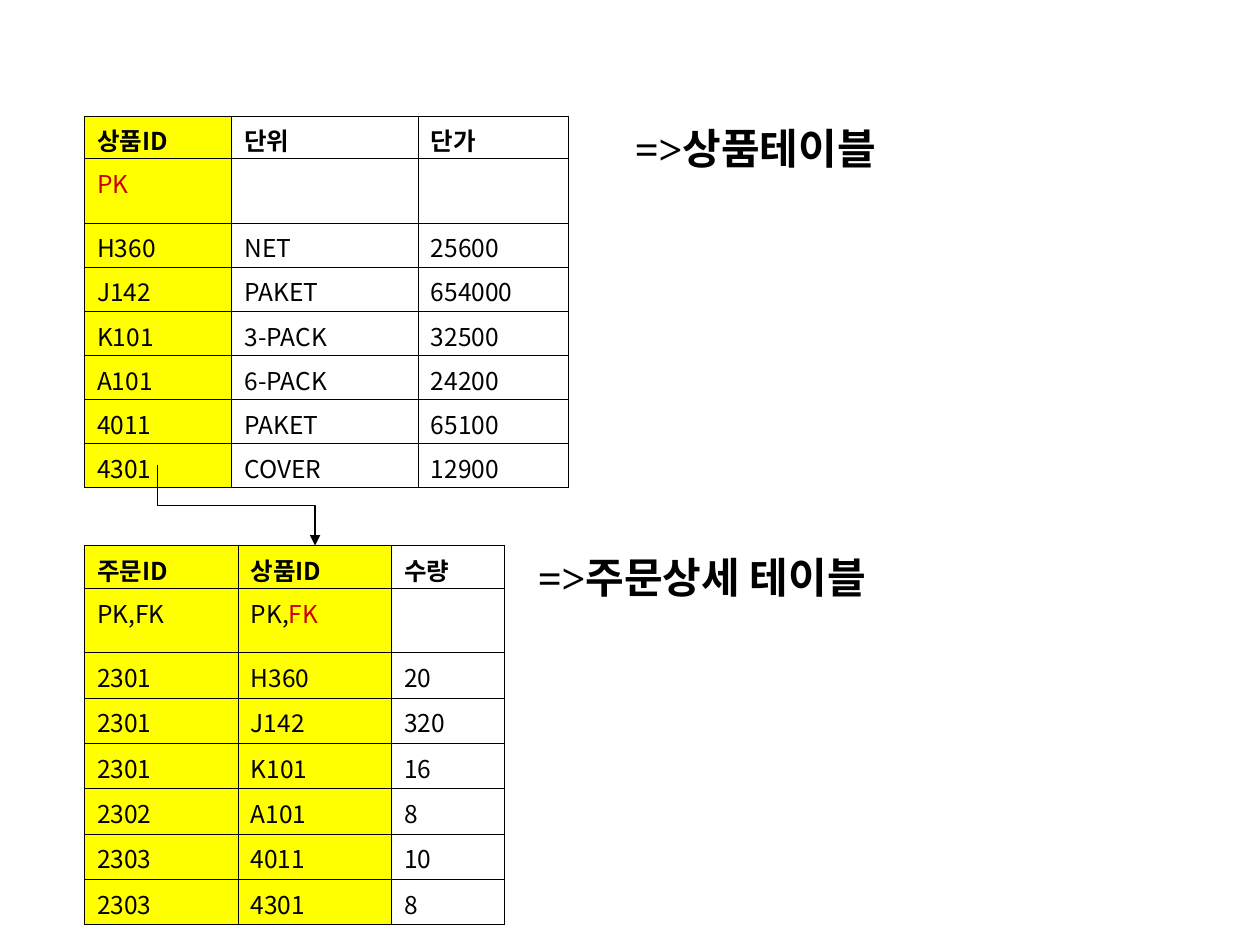
from lxml import etree
from pptx import Presentation
from pptx.dml.color import RGBColor
from pptx.enum.shapes import MSO_CONNECTOR
from pptx.enum.text import MSO_ANCHOR, PP_ALIGN
from pptx.oxml.ns import qn
from pptx.util import Inches, Pt

ELBOW = MSO_CONNECTOR.ELBOW
MIDDLE = MSO_ANCHOR.MIDDLE
LEFT, CENTER = PP_ALIGN.LEFT, PP_ALIGN.CENTER
BLACK = RGBColor(0x00, 0x00, 0x00)
RED = RGBColor(0xCC, 0x00, 0x00)
YELLOW = RGBColor(0xFF, 0xFF, 0x00)
TABLE_FONT = "Noto Sans CJK KR"
LABEL_FONT = "Times New Roman"
BORDER_WIDTH = Pt(0.45)
HEADER_HEIGHT, KEY_HEIGHT = 0.34, 0.51

# Each key cell is a list of (text, colour) runs.
PRODUCTS = {
    "left": 0.67, "top": 0.92, "columns": [1.17, 1.48, 1.19], "row": 0.35,
    "key_columns": 1,
    "header": ["상품ID", "단위", "단가"],
    "keys": [[("PK", RED)], [], []],
    "data": [
        ["H360", "NET", "25600"],
        ["J142", "PAKET", "654000"],
        ["K101", "3-PACK", "32500"],
        ["A101", "6-PACK", "24200"],
        ["4011", "PAKET", "65100"],
        ["4301", "COVER", "12900"],
    ],
}
ORDER_DETAILS = {
    "left": 0.67, "top": 4.33, "columns": [1.22, 1.22, 0.89], "row": 0.36,
    "key_columns": 2,
    "header": ["주문ID", "상품ID", "수량"],
    "keys": [[("PK,FK", BLACK)], [("PK,", BLACK), ("FK", RED)], []],
    "data": [
        ["2301", "H360", "20"],
        ["2301", "J142", "320"],
        ["2301", "K101", "16"],
        ["2302", "A101", "8"],
        ["2303", "4011", "10"],
        ["2303", "4301", "8"],
    ],
}
# text, left, top, width, alignment
LABELS = [
    ("=>상품테이블", 4.58, 0.92, 2.83, CENTER),
    ("=>주문상세 테이블", 4.17, 4.33, 4, LEFT),
]
LABEL_HEIGHT = 0.5
ARROW_START, ARROW_END = (1.25, 3.69), (2.5, 4.33)


def style_font(font, name, size, bold, color):
    font.name = name
    font.size = Pt(size)
    font.bold = bold
    font.color.rgb = color


def add_border(cell):
    properties = cell._tc.get_or_add_tcPr()
    for position, side in enumerate(("a:lnL", "a:lnR", "a:lnT", "a:lnB")):
        line = etree.Element(qn(side), w=str(BORDER_WIDTH))
        fill = etree.SubElement(line, qn("a:solidFill"))
        etree.SubElement(fill, qn("a:srgbClr"), val=str(BLACK))
        properties.insert(position, line)


def fill_cell(cell, runs, bold, is_key):
    if is_key:
        cell.fill.solid()
        cell.fill.fore_color.rgb = YELLOW
    else:
        cell.fill.background()
    add_border(cell)
    cell.margin_bottom = 0  # lets a line of text fit the low rows
    para = cell.text_frame.paragraphs[0]
    para.font.size = Pt(14)
    for text, color in runs:
        span = para.add_run()
        span.text = text
        style_font(span.font, TABLE_FONT, 14, bold, color)


def add_data_table(page, content):
    plain_rows = [[[(text, BLACK)] for text in row]
                  for row in [content["header"]] + content["data"]]
    rows = plain_rows[:1] + [content["keys"]] + plain_rows[1:]
    heights = [HEADER_HEIGHT, KEY_HEIGHT] + [content["row"]] * len(content["data"])
    widths = content["columns"]
    table = page.shapes.add_table(
        len(rows), len(widths), Inches(content["left"]), Inches(content["top"]),
        Inches(sum(widths)), Inches(sum(heights))).table
    table.first_row = table.horz_banding = False
    for column, width in zip(table.columns, widths):
        column.width = Inches(width)
    for row_index, (row, height) in enumerate(zip(rows, heights)):
        table.rows[row_index].height = Inches(height)
        for column_index, runs in enumerate(row):
            fill_cell(table.cell(row_index, column_index), runs,
                      row_index == 0, column_index < content["key_columns"])


def add_label(page, text, left, top, width, alignment):
    box = page.shapes.add_textbox(
        Inches(left), Inches(top), Inches(width), Inches(LABEL_HEIGHT))
    box.text_frame.word_wrap = True
    box.text_frame.vertical_anchor = MIDDLE
    para = box.text_frame.paragraphs[0]
    para.alignment = alignment
    span = para.add_run()
    span.text = text
    style_font(span.font, LABEL_FONT, 24, True, BLACK)


def add_key_arrow(page, start, end):
    """Draw an elbow that leaves downwards, as a flipped quarter turn."""
    center_x, center_y = ((a + b) / 2 for a, b in zip(start, end))
    half_width = (end[1] - start[1]) / 2
    half_height = (end[0] - start[0]) / 2
    arrow = page.shapes.add_connector(
        ELBOW, Inches(center_x - half_width), Inches(center_y - half_height),
        Inches(center_x + half_width), Inches(center_y + half_height))
    arrow.line.color.rgb = BLACK
    arrow.line.width = Pt(0.75)
    properties = arrow._element.spPr
    frame = properties.find(qn("a:xfrm"))
    frame.set("rot", str(270 * 60000))
    frame.set("flipH", "1")
    etree.SubElement(properties.find(qn("a:ln")), qn("a:tailEnd"), type="triangle")
    etree.SubElement(properties, qn("a:effectLst"))


def main():
    deck = Presentation()
    deck.slide_width, deck.slide_height = Inches(10), Inches(7.5)
    page = deck.slides.add_slide(deck.slide_layouts[6])
    for content in (ORDER_DETAILS, PRODUCTS):
        add_data_table(page, content)
    for label in LABELS:
        add_label(page, *label)
    add_key_arrow(page, ARROW_START, ARROW_END)
    deck.save("out.pptx")


if __name__ == "__main__":
    main()
